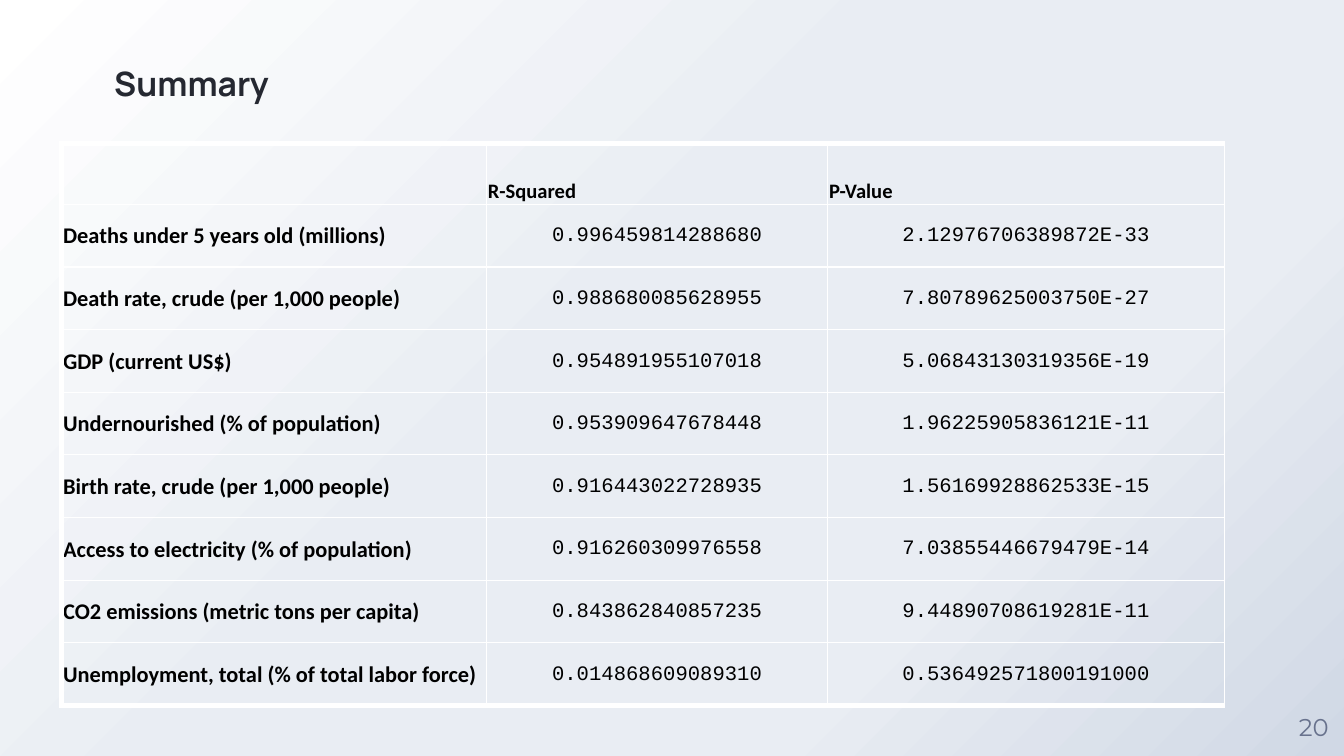
from dataclasses import dataclass

from lxml.etree import SubElement
from pptx import Presentation
from pptx.dml.color import RGBColor
from pptx.enum.text import MSO_ANCHOR, MSO_AUTO_SIZE, PP_ALIGN
from pptx.oxml import parse_xml
from pptx.oxml.ns import nsdecls, qn
from pptx.util import Inches, Pt


@dataclass(frozen=True)
class Theme:
    """Colours, fonts and type sizes of the slide."""
    heading: str = "252831"
    body: str = "000000"
    page: str = "68728D"
    rule: str = "FFFFFF"
    backdrop: tuple = ((0, "FFFFFF"), (44, "E9EDF3"), (72, "E9EDF3"), (100, "D0D8E5"))
    heading_font: str = "Manrope"
    label_font: str = "Calibri"
    value_font: str = "Courier New"
    page_font: str = "Montserrat"
    heading_size: float = 18
    page_size: float = 13
    label_size: float = 12
    value_size: float = 11
    thin: float = 0.75
    thick: float = 3


INDICATORS = [
    ("", "R-Squared", "P-Value"),
    ("Deaths under 5 years old (millions)", "0.996459814288680", "2.12976706389872E-33"),
    ("Death rate, crude (per 1,000 people)", "0.988680085628955", "7.80789625003750E-27"),
    ("GDP (current US$)", "0.954891955107018", "5.06843130319356E-19"),
    ("Undernourished (% of population)", "0.953909647678448", "1.96225905836121E-11"),
    ("Birth rate, crude (per 1,000 people)", "0.916443022728935", "1.56169928862533E-15"),
    ("Access to electricity (% of population)", "0.916260309976558", "7.03855446679479E-14"),
    ("CO2 emissions (metric tons per capita)", "0.843862840857235", "9.44890708619281E-11"),
    ("Unemployment, total (% of total labor force)", "0.014868609089310", "0.536492571800191000"),
]


def write(frame, text, *, font, size, color, bold=False, align=PP_ALIGN.LEFT):
    """Put one formatted line of text into a text frame."""
    line = frame.paragraphs[0]
    line.alignment = align
    run = line.add_run()
    run.text = text
    run.font.name = font
    run.font.size = Pt(size)
    run.font.bold = bold
    run.font.color.rgb = RGBColor.from_string(color)


class SlideBuilder:
    """Holds the theme and the slide being built."""

    def __init__(self, slide, theme):
        """Keep the slide and its theme."""
        self.slide = slide
        self.theme = theme

    def background(self):
        """Fill the background with a gradient spreading from the top left."""
        fill = self.slide.background.fill
        fill.gradient()
        stops = "".join(
            f'<a:gs pos="{position * 1000}"><a:srgbClr val="{color}"/></a:gs>'
            for position, color in self.theme.backdrop)
        gradient = parse_xml(
            f'<a:gradFill {nsdecls("a")} rotWithShape="1"><a:gsLst>{stops}</a:gsLst>'
            '<a:path path="circle"><a:fillToRect r="100000" b="100000"/></a:path></a:gradFill>')
        default = next(self.slide.element.iter(qn("a:gradFill")))
        default.getparent().replace(default, gradient)

    def title(self, text, left, top, width, height):
        """Place and format the title."""
        heading = self.slide.shapes.title
        heading.left, heading.top = Inches(left), Inches(top)
        heading.width, heading.height = Inches(width), Inches(height)
        self.frame(heading.text_frame, MSO_ANCHOR.TOP, margin_top=0.03)
        write(heading.text_frame, text, font=self.theme.heading_font,
              size=self.theme.heading_size, color=self.theme.heading, bold=True)

    def page_number(self, number, left, top, side):
        """Add the page number in a square box."""
        page = self.slide.shapes.add_textbox(
            Inches(left), Inches(top), Inches(side), Inches(side))
        self.frame(page.text_frame, MSO_ANCHOR.MIDDLE)
        write(page.text_frame, number, font=self.theme.page_font,
              size=self.theme.page_size, color=self.theme.page, align=PP_ALIGN.CENTER)

    def frame(self, frame, anchor, margin_top=0):
        """Set wrapping, anchor and margins of a text frame."""
        frame.word_wrap = True
        frame.auto_size = MSO_AUTO_SIZE.NONE
        frame.vertical_anchor = anchor
        frame.margin_left = frame.margin_right = frame.margin_bottom = 0
        frame.margin_top = Inches(margin_top)

    def table(self, rows, left, top, widths, header_height, height):
        """Add the table with a header row and equal body rows."""
        grid = self.slide.shapes.add_table(
            len(rows), len(widths), Inches(left), Inches(top),
            Inches(sum(widths)), Inches(height)).table
        grid.first_row = grid.horz_banding = False
        for column, width in zip(grid.columns, widths):
            column.width = Inches(width)
        row_height = (height - header_height) / (len(rows) - 1)
        for r, texts in enumerate(rows):
            grid.rows[r].height = Inches(row_height if r else header_height)
            for c, text in enumerate(texts):
                self.cell(grid.cell(r, c), text, r, c, r == len(rows) - 1)

    def cell(self, cell, text, row, column, last):
        """Format one table cell by its place in the grid."""
        theme = self.theme
        cell.margin_left = cell.margin_right = cell.margin_top = Inches(0.01)
        cell.margin_bottom = 0
        cell.vertical_anchor = MSO_ANCHOR.MIDDLE if row else MSO_ANCHOR.BOTTOM
        is_value = row > 0 and column > 0
        is_label = row > 0 and column == 0
        if text:
            write(cell.text_frame, text, color=theme.body, bold=not is_value,
                  font=theme.value_font if is_value else theme.label_font,
                  size=theme.label_size if is_label else theme.value_size,
                  align=PP_ALIGN.CENTER if is_value else PP_ALIGN.LEFT)
        thick_sides = {"L": column == 0, "R": False, "T": row == 0, "B": last}
        properties = cell._tc.get_or_add_tcPr()
        for side, thick in thick_sides.items():
            width = Pt(theme.thick if thick else theme.thin)
            border = SubElement(properties, qn(f"a:ln{side}"), w=str(width))
            paint = SubElement(border, qn("a:solidFill"))
            SubElement(paint, qn("a:srgbClr"), val=theme.rule)
        cell.fill.background()


def main():
    """Build and save the summary slide."""
    deck = Presentation()
    deck.slide_width, deck.slide_height = Inches(10), Inches(10 * 9 / 16)
    summary = SlideBuilder(deck.slides.add_slide(deck.slide_layouts[5]), Theme())
    summary.background()
    summary.title("Summary", 0.85, 0.44, 3.92, 0.94)
    summary.table(INDICATORS, 0.46, 1.07, (3.16, 2.54, 2.95), 0.45, 4.18)
    summary.page_number("20", 9.55, 5.18, 0.45)
    deck.save("out.pptx")


if __name__ == "__main__":
    main()
